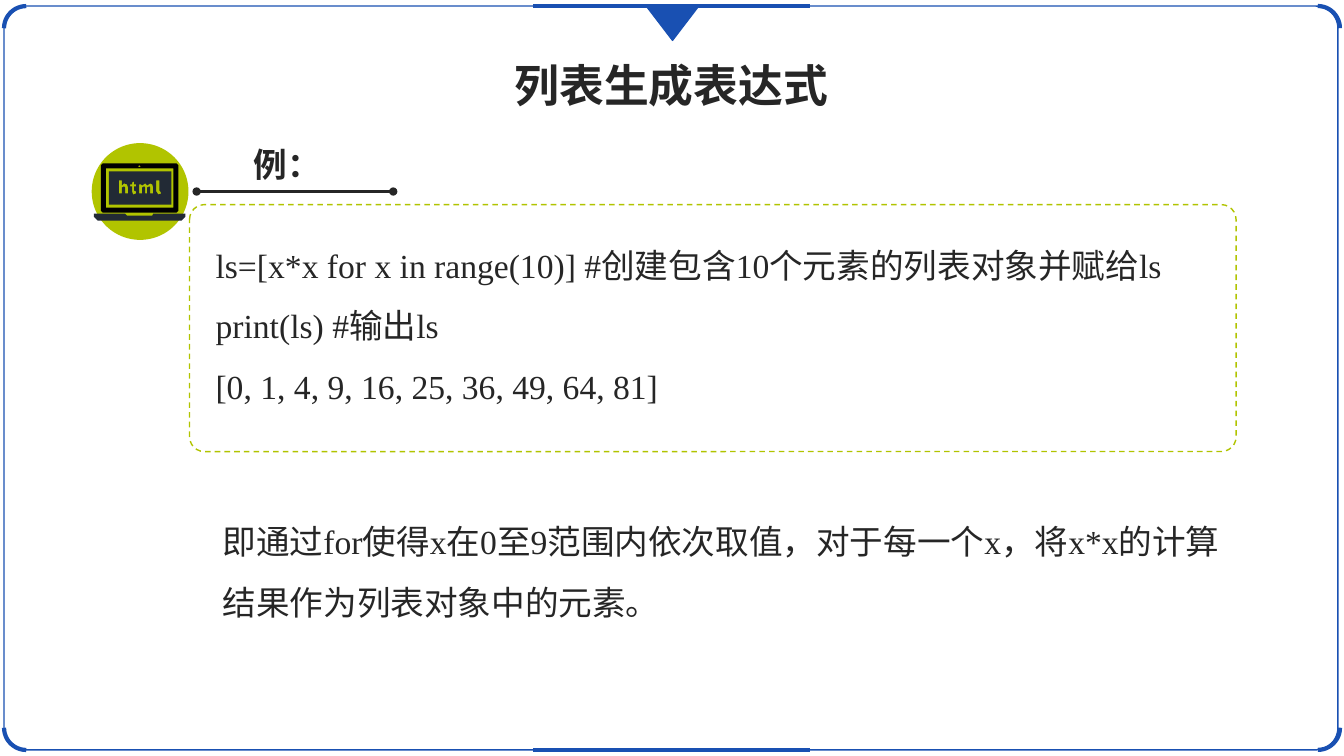
"""Build the slide on list comprehensions with its border and laptop icon."""
from lxml import etree
from pptx import Presentation
from pptx.dml.color import RGBColor
from pptx.enum.dml import MSO_LINE
from pptx.enum.shapes import MSO_CONNECTOR, MSO_SHAPE
from pptx.enum.text import MSO_ANCHOR, MSO_AUTO_SIZE, PP_ALIGN
from pptx.oxml.ns import qn
from pptx.util import Inches, Pt

TITLE = "列表生成表达式"
LABEL = "例："
CODE = [
    "ls=[x*x for x in range(10)] #创建包含10个元素的列表对象并赋给ls",
    "print(ls) #输出ls",
    "[0, 1, 4, 9, 16, 25, 36, 49, 64, 81]",
]
NOTE = ["即通过for使得x在0至9范围内依次取值，对于每一个x，将x*x的计算结果作为列表对象中的元素。"]

BLUE = RGBColor(0x19, 0x50, 0xB2)
LIME = RGBColor(0xB1, 0xC4, 0x00)
INK = RGBColor(0x26, 0x26, 0x26)
SLATE = RGBColor(0x22, 0x2A, 0x35)
BLACK = RGBColor(0, 0, 0)
SERIF, SANS = "Times New Roman", "Noto Sans CJK SC"
CENTER, LEFT, TOP = PP_ALIGN.CENTER, PP_ALIGN.LEFT, MSO_ANCHOR.TOP
WIDTH, HEIGHT = 13.33, 7.5
EDGE_TOP, EDGE_BOTTOM = 0.06, 7.44
CORNER = 0.44
CORNERS = [(0.04, 0.06, 270), (0.04, 7, 180), (12.85, 0.06, 0), (12.85, 7, 90)]

# Icon outlines are in hundredths of an inch.
LID = [
    [(102, 162), (175, 162), (177, 164), (177, 209), (175, 211), (102, 211), (100, 209), (100, 164)],
    [(105, 167), (172, 167), (172, 206), (105, 206)],
    [(137, 165), (138, 164), (140, 165), (138, 166)],
]
BASE = [[(93, 212), (124, 212), (126, 214), (151, 214), (152, 212), (184, 212),
         (184, 215), (180, 219), (97, 219), (93, 215)]]
SCREEN = [
    [(108, 170), (170, 170), (170, 203), (108, 203)],
    [(118, 179), (121, 179), (121, 184), (123, 182), (126, 183), (127, 186), (127, 192),
     (124, 192), (124, 186), (123, 185), (121, 186), (121, 192), (118, 192)],
    [(131, 181), (133, 180), (133, 183), (135, 183), (135, 185), (133, 185), (133, 189),
     (135, 190), (135, 192), (132, 193), (131, 190), (131, 185), (129, 185), (129, 183), (131, 183)],
    [(138, 183), (140, 183), (141, 184), (144, 182), (146, 184), (149, 182), (151, 183),
     (152, 186), (152, 192), (149, 192), (149, 186), (148, 185), (146, 186), (146, 192),
     (144, 192), (144, 186), (143, 185), (141, 186), (141, 192), (138, 192)],
    [(155, 179), (158, 179), (158, 189), (159, 190), (160, 192), (157, 193), (155, 190)],
]


def paint(sp, fill=None, line=None, weight=1):
    """Give a shape its fill and outline, without a shadow."""
    sp.shadow.inherit = False
    if fill is None:
        sp.fill.background()
    else:
        sp.fill.solid()
        sp.fill.fore_color.rgb = fill
    if line is None:
        sp.line.fill.background()
    else:
        sp.line.color.rgb = line
        sp.line.width = Pt(weight)
    return sp


def add_preset(s, kind, box, **look):
    """Add a preset shape in a box given in inches."""
    return paint(s.shapes.add_shape(kind, *map(Inches, box)), **look)


def add_rule(s, left, right, y, color, weight, dots=False):
    """Add a horizontal line, with round ends if asked."""
    ends = map(Inches, (left, y, right, y))
    cn = s.shapes.add_connector(MSO_CONNECTOR.STRAIGHT, *ends)
    cn.line.color.rgb = color
    cn.line.width = Pt(weight)
    if dots:
        for end in ("a:headEnd", "a:tailEnd"):
            etree.SubElement(cn.line._ln, qn(end), type="oval")
    etree.SubElement(cn._element.spPr, qn("a:effectLst"))


def add_outline(s, contours, fill):
    """Add one filled freeform; inner contours are holes."""
    fb = None
    for first, *rest in contours:
        if fb is None:
            fb = s.shapes.build_freeform(*first, scale=Inches(0.01))
        else:
            fb.move_to(*first)
        fb.add_line_segments(rest)
    paint(fb.convert_to_shape(), fill=fill)


def write(sp, lines, size=24, font=SERIF, bold=False, align=LEFT, spacing=1.0, wrap=True):
    """Fill a text shape with formatted paragraphs."""
    tf = sp.text_frame
    tf.word_wrap = wrap
    tf.auto_size = MSO_AUTO_SIZE.NONE
    tf.vertical_anchor = TOP
    for i, text in enumerate(lines):
        p = tf.add_paragraph() if i else tf.paragraphs[0]
        p.alignment, p.line_spacing = align, spacing
        r = p.add_run()
        r.text = text
        r.font.size, r.font.bold = Pt(size), bold
        r.font.color.rgb = INK
        r.font.name = font
        etree.SubElement(r._r.get_or_add_rPr(), qn("a:ea"), typeface=SANS)


def add_text(s, box, lines, **look):
    """Add a text box in a box given in inches."""
    write(s.shapes.add_textbox(*map(Inches, box)), lines, **look)


def add_border(s):
    """Draw the frame, its corners, the middle bars and the pointer."""
    frame = add_preset(s, MSO_SHAPE.ROUNDED_RECTANGLE,
                       (0.04, EDGE_TOP, 13.23, EDGE_BOTTOM - EDGE_TOP), line=BLUE)
    frame.adjustments[0] = 0.03
    for x, y, turn in CORNERS:
        arc = add_preset(s, MSO_SHAPE.ARC, (x, y, CORNER, CORNER), line=BLUE, weight=3)
        arc.rotation = turn
    for y in (EDGE_TOP, EDGE_BOTTOM):
        add_rule(s, 5.29, 8.03, y, BLUE, 3)
    pointer = add_preset(s, MSO_SHAPE.ISOSCELES_TRIANGLE, (6.41, EDGE_TOP, 0.52, 0.34),
                         fill=BLUE, line=BLUE)
    pointer.rotation = 180


def main():
    """Build and save the slide."""
    prs = Presentation()
    prs.slide_width, prs.slide_height = Inches(WIDTH), Inches(HEIGHT)
    s = prs.slides.add_slide(prs.slide_layouts[5])
    add_border(s)

    title = s.shapes.title
    title.left, title.top, title.width, title.height = map(Inches, (4.99, 0.52, 3.34, 0.64))
    write(title, [TITLE], size=32, font=SANS, bold=True, align=CENTER, wrap=False)

    add_text(s, (2.41, 1.38, 0.88, 0.5), [LABEL], bold=True, align=CENTER, wrap=False)
    add_text(s, (2.04, 2.18, 10.16, 1.85), CODE, spacing=1.5)
    add_rule(s, 1.95, 3.9, 1.9, INK, 1.5, dots=True)
    panel = add_preset(s, MSO_SHAPE.ROUNDED_RECTANGLE, (1.88, 2.03, 10.38, 2.45), line=LIME)
    panel.adjustments[0] = 0.06
    panel.line.dash_style = MSO_LINE.DASH

    add_preset(s, MSO_SHAPE.OVAL, (0.91, 1.42, 0.96, 0.96), fill=LIME)
    for contours, color in ((LID, BLACK), (BASE, SLATE), (SCREEN, SLATE)):
        add_outline(s, contours, color)
    add_text(s, (2.11, 4.92, 10.16, 1.24), NOTE, spacing=1.5)
    prs.save("out.pptx")


if __name__ == "__main__":
    main()
